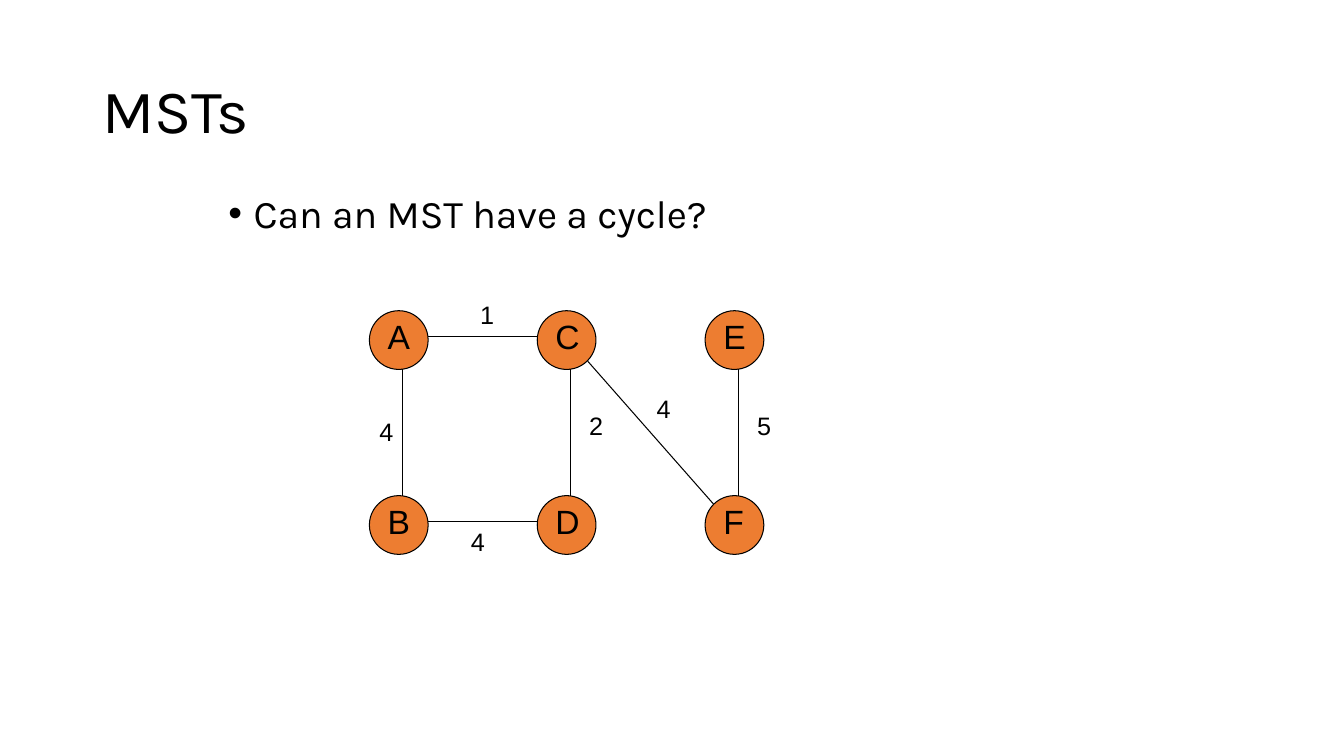
from dataclasses import dataclass
from lxml import etree
from pptx import Presentation
from pptx.dml.color import RGBColor
from pptx.enum.shapes import MSO_CONNECTOR, MSO_SHAPE
from pptx.enum.text import MSO_ANCHOR, MSO_AUTO_SIZE, PP_ALIGN
from pptx.oxml.ns import qn
from pptx.util import Cm, Pt

TITLE = "MSTs"
POINT = "Can an MST have a cycle?"
NODES = {"A": (0, 0), "B": (0, 1), "C": (1, 0),
         "D": (1, 1), "E": (2, 0), "F": (2, 1)}
EDGES = [
    ("A", "B", "4", (0, 2.54)),
    ("A", "C", "1", (2.54, -0.41)),
    ("C", "D", "2", (1.06, 2.38)),
    ("C", "F", "4", (2.76, 1.96)),
    ("E", "F", "5", (1.06, 2.38)),
    ("B", "D", "4", (2.31, 0.64)),
]

LEFT, TOP = 9.31, 7.83
STEP_X, STEP_Y = 4.23, 4.66
SIZE = 1.48
PORTS = {
    (1, 0): ((SIZE, 0.64), (0, 0.64)),
    (0, 1): ((0.84, SIZE), (0.84, 0)),
    (1, 1): ((1.27, 1.27), (0.21, 0.21)),
}

LINE = MSO_CONNECTOR.STRAIGHT
OVAL = MSO_SHAPE.OVAL
MIDDLE, UPPER = MSO_ANCHOR.MIDDLE, MSO_ANCHOR.TOP
NO_FIT = MSO_AUTO_SIZE.NONE
GROW = MSO_AUTO_SIZE.SHAPE_TO_FIT_TEXT
ALIGN = PP_ALIGN.LEFT


@dataclass(frozen=True)
class Theme:
    ink: RGBColor = RGBColor(0, 0, 0)
    node: RGBColor = RGBColor(0xED, 0x7D, 0x31)
    head: str = "Karla"
    label: str = "Arial"
    title: int = 44
    body: int = 28
    letter: int = 24
    weight: int = 18
    line: float = 0.75


THEME = Theme()


def place(shape, left, top, width, height):
    shape.left, shape.top = Cm(left), Cm(top)
    shape.width, shape.height = Cm(width), Cm(height)


def write(shape, text, font, size, fit, anchor=UPPER):
    frame = shape.text_frame
    frame.word_wrap = True
    frame.auto_size = fit
    frame.vertical_anchor = anchor
    para = frame.paragraphs[0]
    para.alignment = ALIGN
    para.space_before = Pt(0)
    run = para.add_run()
    run.text = text
    run.font.name = font
    run.font.size = Pt(size)
    run.font.color.rgb = THEME.ink
    return para


def corner(name):
    col, row = NODES[name]
    return LEFT + col * STEP_X, TOP + row * STEP_Y


def add_node(slide, name):
    x, y = corner(name)
    group = slide.shapes.add_group_shape()
    disc = group.shapes.add_shape(OVAL, Cm(x), Cm(y), Cm(SIZE), Cm(SIZE))
    disc.shadow.inherit = False
    disc.fill.solid()
    disc.fill.fore_color.rgb = THEME.node
    disc.line.color.rgb = THEME.ink
    disc.line.width = Pt(THEME.line)
    box = group.shapes.add_textbox(Cm(x + 0.21), Cm(y), Cm(1.27), Cm(1.27))
    write(box, name, THEME.label, THEME.letter, GROW)


def add_edge(slide, start, end, weight, shift):
    x1, y1 = corner(start)
    x2, y2 = corner(end)
    way = tuple(b - a for a, b in zip(NODES[start], NODES[end]))
    (dx1, dy1), (dx2, dy2) = PORTS[way]
    edge = slide.shapes.add_connector(
        LINE, Cm(x1 + dx1), Cm(y1 + dy1), Cm(x2 + dx2), Cm(y2 + dy2))
    edge.line.color.rgb = THEME.ink
    edge.line.width = Pt(THEME.line)
    etree.SubElement(edge._element.spPr, qn("a:effectLst"))
    box = slide.shapes.add_textbox(
        Cm(x1 + shift[0]), Cm(y1 + shift[1]), Cm(SIZE), Cm(1.02))
    write(box, weight, THEME.label, THEME.weight, GROW)


def add_text(slide):
    title, body = slide.placeholders
    place(title, 2.33, 1.01, 29.21, 3.68)
    para = write(title, TITLE, THEME.head, THEME.title, NO_FIT, MIDDLE)
    para.line_spacing = 0.9
    place(body, 5.5, 4.77, 22.86, 2)
    para = write(body, POINT, THEME.head, THEME.body, NO_FIT)
    props = para._p.get_or_add_pPr()
    props.set("marL", str(Cm(0.64)))
    props.set("indent", str(Cm(-0.64)))
    etree.SubElement(props, qn("a:buFont")).set("typeface", THEME.label)
    etree.SubElement(props, qn("a:buChar")).set("char", "•")
    para.line_spacing = 0.9


def main():
    deck = Presentation()
    deck.slide_width, deck.slide_height = Cm(33.87), Cm(19.05)
    slide = deck.slides.add_slide(deck.slide_layouts[1])
    add_text(slide)
    for name in NODES:
        add_node(slide, name)
    for edge in EDGES:
        add_edge(slide, *edge)
    deck.save("out.pptx")


if __name__ == "__main__":
    main()
